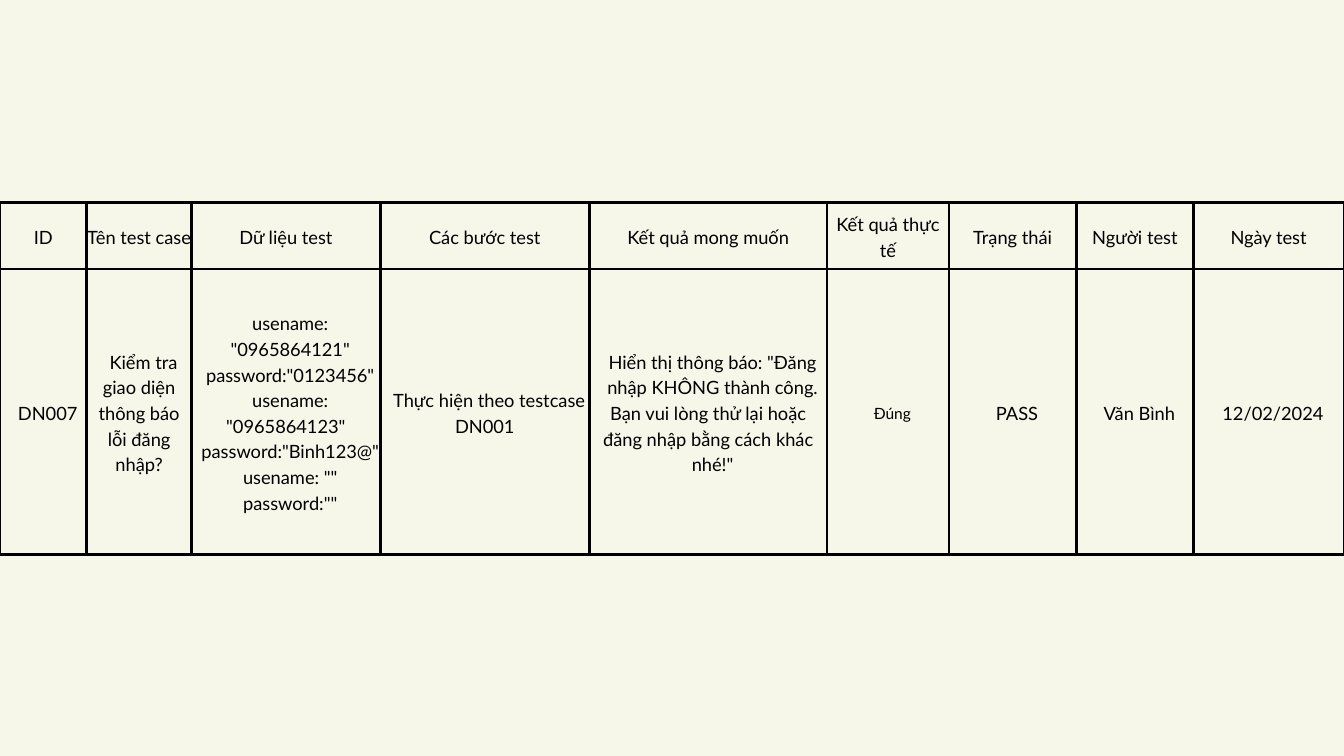
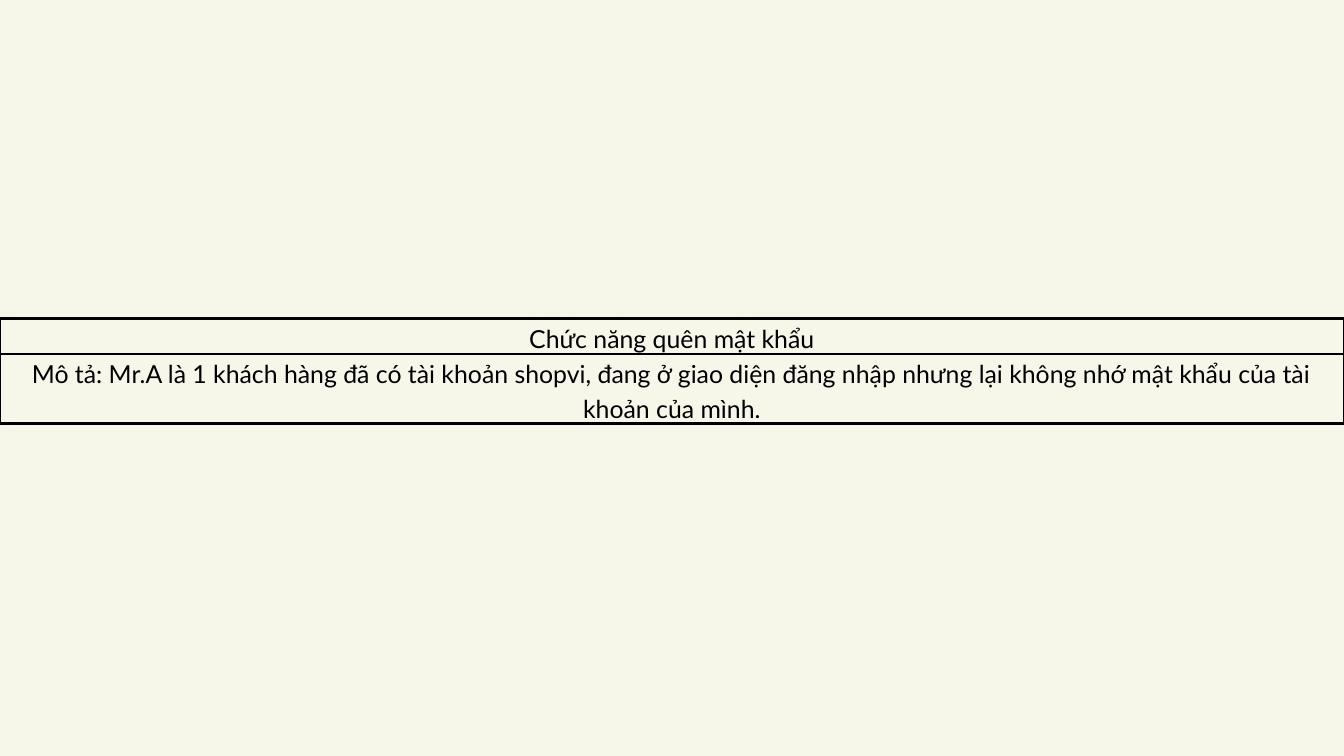
from dataclasses import dataclass

from lxml import etree
from pptx import Presentation
from pptx.dml.color import RGBColor
from pptx.enum.text import MSO_ANCHOR, PP_ALIGN
from pptx.oxml.ns import qn
from pptx.util import Inches, Pt

MIDDLE = MSO_ANCHOR.MIDDLE
CENTER = PP_ALIGN.CENTER


@dataclass(frozen=True)
class Theme:
    paper: str = "F6F6E9"
    ink: str = "000000"
    font: str = "Lato"
    small: float = 16.6
    body: float = 19.6
    large: float = 26.6
    lead: float = 1.4
    rule: float = 3
    indent: float = 0.13
    pad: float = 0.05


theme = Theme()
ink = RGBColor.from_string(theme.ink)

deck = Presentation()
deck.slide_width = Inches(20)
deck.slide_height = Inches(11.25)
blank = deck.slide_layouts[6]


def add_grid(top, cols, rows):
    """Add a slide with a full-width table; all lengths are percent of the slide."""
    slide = deck.slides.add_slide(blank)
    back = slide.background.fill
    back.solid()
    back.fore_color.rgb = RGBColor.from_string(theme.paper)
    wide, high = deck.slide_width / 100, deck.slide_height / 100
    frame = slide.shapes.add_table(len(rows), len(cols), 0, int(top * high),
                                   deck.slide_width, int(sum(rows) * high))
    grid = frame.table
    grid.first_row = grid.horz_banding = False
    for col, share in zip(grid.columns, cols):
        col.width = int(share * wide)
    for row, share in zip(grid.rows, rows):
        row.height = int(share * high)
    for cell in grid.iter_cells():
        cell.margin_left = cell.margin_right = 0
        cell.margin_top = cell.margin_bottom = 0
        cell.vertical_anchor = MIDDLE
        props = cell._tc.get_or_add_tcPr()
        for side in ("lnL", "lnR", "lnT", "lnB"):
            line = etree.SubElement(props, qn("a:" + side), w=str(Pt(theme.rule)))
            fill = etree.SubElement(line, qn("a:solidFill"))
            etree.SubElement(fill, qn("a:srgbClr"), val=theme.ink)
        cell.fill.background()
    return grid


def write(cell, lines, size, indent=0):
    frame = cell.text_frame
    for i, line in enumerate(lines):
        para = frame.add_paragraph() if i else frame.paragraphs[0]
        para.alignment = CENTER
        para.line_spacing = Pt(round(size * theme.lead, 1))
        if indent:
            props = para._p.get_or_add_pPr()
            props.set("marL", "0")
            props.set("indent", str(Inches(indent)))
        run = para.add_run()
        run.text = line
        run.font.size = Pt(size)
        run.font.name = theme.font
        run.font.color.rgb = ink


# Slide 1: test case for the failed login message
cases = [
    ("ID", ["DN007"]),
    ("Tên test case", ["Kiểm tra giao diện thông báo lỗi đăng nhập?"]),
    ("Dữ liệu test", ["usename:", '"0965864121"', 'password:"0123456"',
                      'usename: "0965864123"', 'password:"Binh123@"',
                      'usename: ""', 'password:""']),
    ("Các bước test", ["Thực hiện theo testcase DN001"]),
    ("Kết quả mong muốn", [
        'Hiển thị thông báo: "Đăng',
        "nhập KHÔNG thành công. Bạn vui lòng thử lại hoặc đăng nhập bằng cách khác",
        'nhé!"']),
    ("Kết quả thực tế", ["Đúng"]),
    ("Trạng thái", ["PASS"]),
    ("Người test", ["Văn Bình"]),
    ("Ngày test", ["12/02/2024"]),
]
grid = add_grid(26.76, [6.45, 7.8, 14.05, 15.55, 17.7, 9.05, 9.5, 8.7, 11.2],
                [8.8, 37.78])
for col, (head, lines) in enumerate(cases):
    size = theme.small if head == "Kết quả thực tế" else theme.body
    write(grid.cell(0, col), [head], theme.body)
    write(grid.cell(1, col), lines, size, theme.indent)

# Keep the wrapped name clear of its borders
name = grid.cell(1, 1)
name.margin_left = name.margin_right = Inches(theme.pad)

# Slide 2: forgotten password feature
feature = [
    "Chức năng quên mật khẩu",
    "Mô tả: Mr.A là 1 khách hàng đã có tài khoản shopvi, đang ở giao diện đăng nhập "
    "nhưng lại không nhớ mật khẩu của tài khoản của mình.",
]
grid = add_grid(42.13, [5.5, 8.25, 10.3, 19.65, 16.75, 11.35, 8.65, 9.45, 10.1],
                [4.71, 8.09])
for row, line in enumerate(feature):
    grid.cell(row, 0).merge(grid.cell(row, len(grid.columns) - 1))
    write(grid.cell(row, 0), [line], theme.large)

deck.save("out.pptx")
